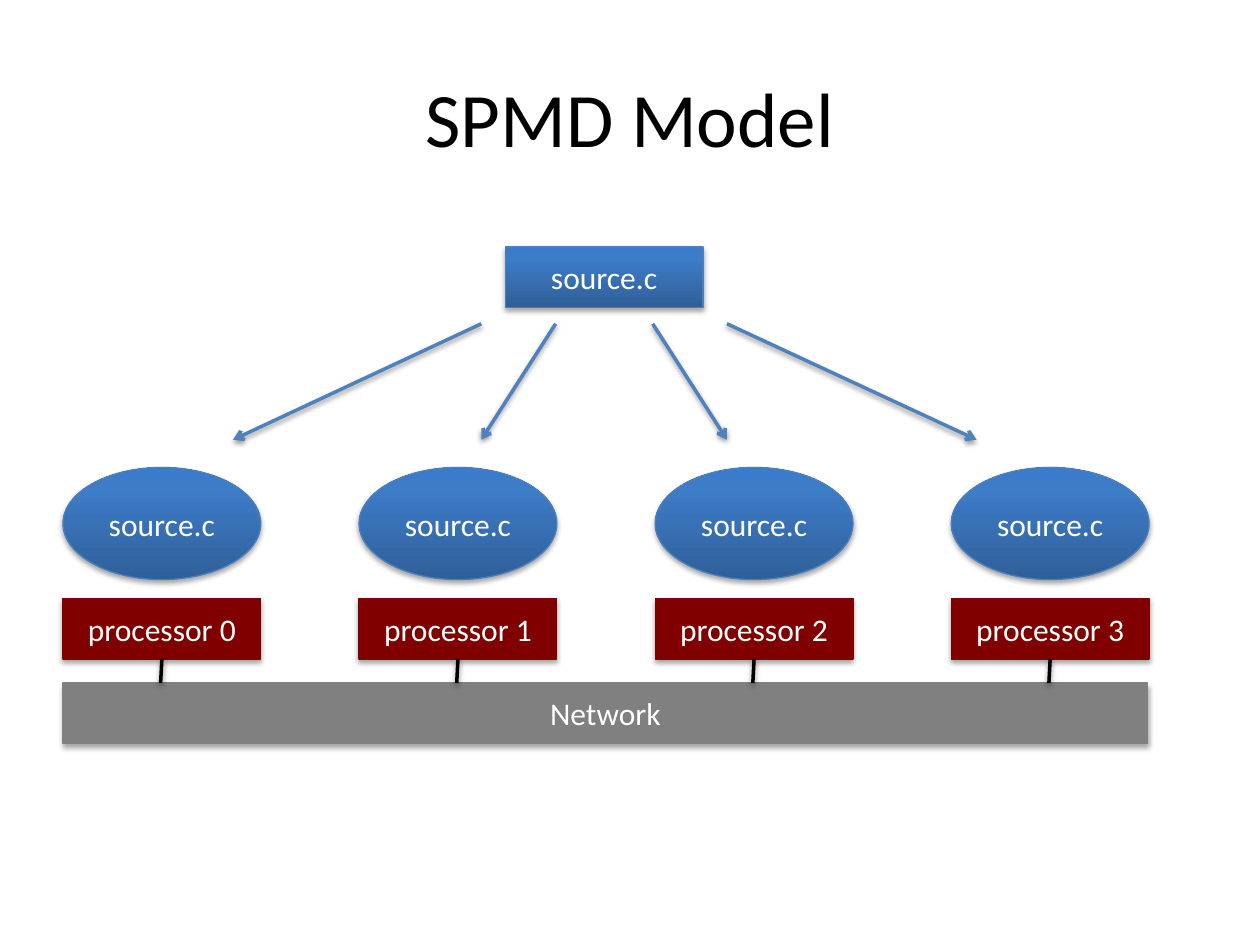
"""Build the SPMD model slide: one source file run on four networked processors."""
from copy import deepcopy

from pptx import Presentation
from pptx.dml.color import RGBColor
from pptx.enum.shapes import MSO_CONNECTOR, MSO_SHAPE
from pptx.enum.text import MSO_ANCHOR, PP_ALIGN
from pptx.oxml import parse_xml
from pptx.oxml.ns import nsdecls, qn
from pptx.util import Inches, Pt

BLACK = RGBColor(0x00, 0x00, 0x00)
WHITE = RGBColor(0xFF, 0xFF, 0xFF)
MAROON = RGBColor(0x80, 0x00, 0x00)
GRAY = RGBColor(0x80, 0x80, 0x80)
OUTLINE = RGBColor(0x4B, 0x7E, 0xBC)
ARROW = RGBColor(0x4F, 0x81, 0xBD)
GRADIENT = [
    (0, RGBColor(0x2F, 0x5F, 0x99)),
    (0.8, RGBColor(0x3D, 0x7C, 0xC7)),
    (1, RGBColor(0x3A, 0x7C, 0xCB)),
]
SHADOW = (
    '<a:effectLst {}><a:outerShdw blurRad="{}" dist="{}" dir="5400000" rotWithShape="0">'
    '<a:srgbClr val="000000"><a:alpha val="{}"/></a:srgbClr></a:outerShdw></a:effectLst>'
)
FONT = "Calibri"
LEFT, PITCH, BOX_W, BOX_H = 0.5, 2.35, 1.57, 0.48

prs = Presentation()
prs.slide_width, prs.slide_height = Inches(10), Inches(7.5)
s = prs.slides.add_slide(prs.slide_layouts[5])


def add_box(kind, text, left, top, width, height, color=None):
    sp = s.shapes.add_shape(kind, Inches(left), Inches(top), Inches(width), Inches(height))
    if color is None:
        sp.fill.gradient()
        sp.fill.gradient_angle = 90
        stops = sp._element.spPr.find(qn("a:gradFill")).find(qn("a:gsLst"))
        stops.append(deepcopy(stops[0]))
        for stop, (position, rgb) in zip(sp.fill.gradient_stops, GRADIENT):
            stop.position = position
            stop.color.rgb = rgb
    else:
        sp.fill.solid()
        sp.fill.fore_color.rgb = color
    sp.line.color.rgb = color or OUTLINE
    sp.line.width = Pt(0.75)
    sp._element.spPr.append(parse_xml(SHADOW.format(nsdecls("a"), Pt(3.1), Pt(1.8), 35000)))
    tf = sp.text_frame
    tf.vertical_anchor = MSO_ANCHOR.MIDDLE
    p = tf.paragraphs[0]
    p.alignment = PP_ALIGN.CENTER
    r = p.add_run()
    r.text = text
    for name, value in {"name": FONT, "size": Pt(18)}.items():
        setattr(r.font, name, value)
    r.font.color.rgb = WHITE
    return sp


def add_line(x1, y1, x2, y2, color, arrow=False):
    line = s.shapes.add_connector(
        MSO_CONNECTOR.STRAIGHT, Inches(x1), Inches(y1), Inches(x2), Inches(y2))
    line.line.color.rgb = color
    line.line.width = Pt(2)
    if arrow:
        line.line._get_or_add_ln().append(
            parse_xml('<a:tailEnd {} type="arrow"/>'.format(nsdecls("a"))))
    line._element.spPr.append(parse_xml(SHADOW.format(nsdecls("a"), Pt(3.1), Pt(1.6), 38000)))
    return line


title = s.shapes.title
place = {"left": 0.5, "top": 0.3, "width": 9, "height": 1.25}
for name, value in place.items():
    setattr(title, name, Inches(value))
title.text_frame.vertical_anchor = MSO_ANCHOR.MIDDLE
p = title.text_frame.paragraphs[0]
p.alignment = PP_ALIGN.CENTER
r = p.add_run()
r.text = "SPMD Model"
for name, value in {"name": FONT, "size": Pt(44)}.items():
    setattr(r.font, name, value)
r.font.color.rgb = BLACK

add_box(MSO_SHAPE.RECTANGLE, "source.c", 4.01, 1.96, BOX_W, BOX_H)

columns = [LEFT + i * PITCH for i in range(4)]
processors = []
for i, x in enumerate(columns):
    processors.append(
        add_box(MSO_SHAPE.RECTANGLE, f"processor {i}", x, 4.75, BOX_W, BOX_H, MAROON))
    add_box(MSO_SHAPE.OVAL, "source.c", x, 3.71, BOX_W, 0.89)

for start, end in [(3.82, 1.85), (4.41, 3.82), (5.18, 5.77), (5.77, 7.75)]:
    add_line(start, 2.57, end, 3.49, ARROW, arrow=True)

add_box(MSO_SHAPE.RECTANGLE, "Network", LEFT, 5.42, 8.61, BOX_H, GRAY)
for x, processor in zip(columns, processors):
    center = x + BOX_W / 2
    link = add_line(center, 5.23, center - 0.01, 5.42, BLACK)
    link.begin_connect(processor, 2)

prs.save("out.pptx")
